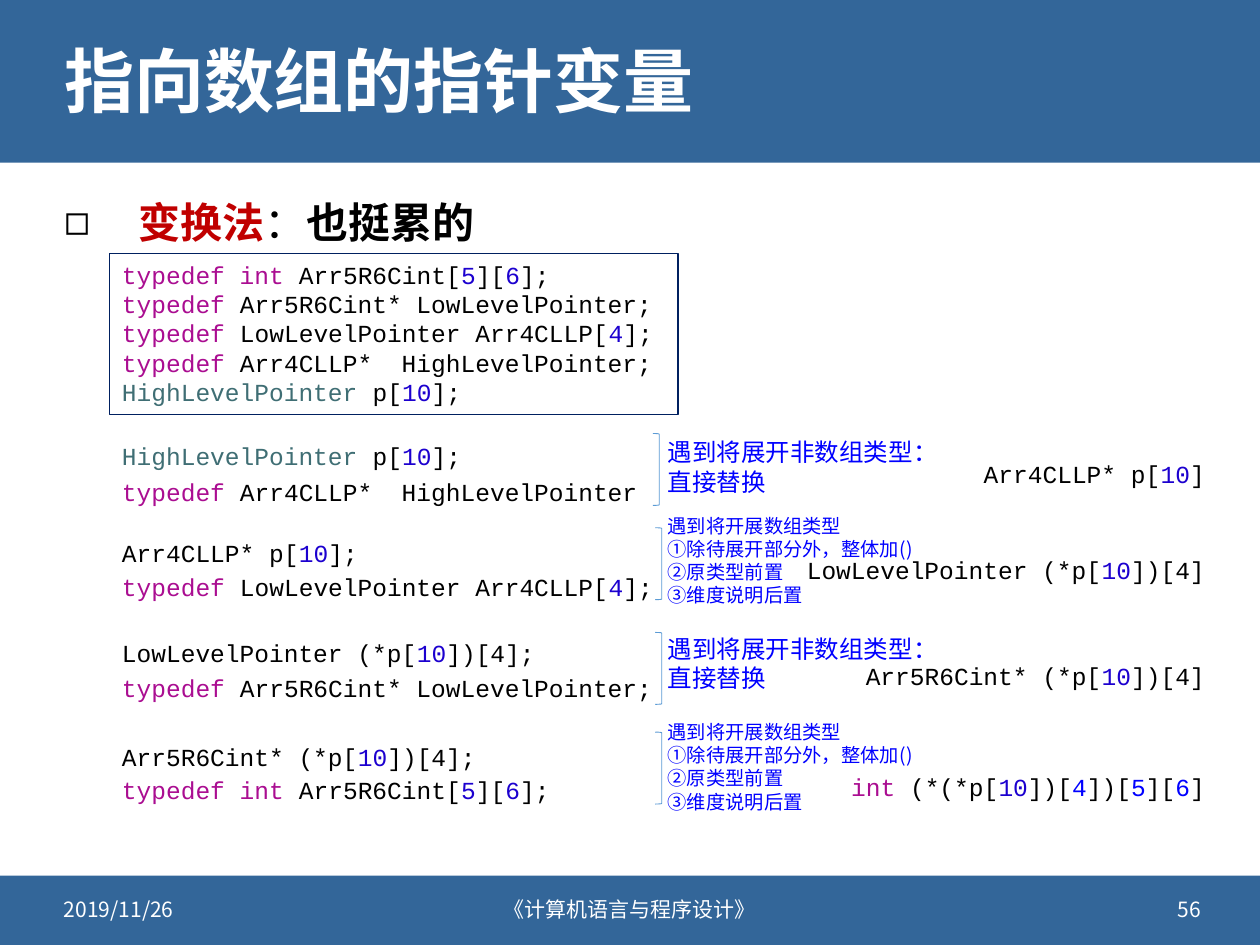
from dataclasses import dataclass

from lxml import etree
from pptx import Presentation
from pptx.dml.color import RGBColor
from pptx.enum import shapes, text
from pptx.oxml import ns
from pptx.util import Cm, Pt


@dataclass(frozen=True)
class Theme:
    band: str = "336699"
    white: str = "FFFFFF"
    black: str = "000000"
    accent: str = "C00000"
    frame: str = "002060"
    bracket: str = "5B9BD5"
    note: str = "0000FF"
    keyword: str = "AA0D91"
    number: str = "1C00CF"
    type_name: str = "3F6E74"
    prose_font: str = "Noto Sans CJK SC"
    code_font: str = "Courier New"
    title_size: int = 40
    body_size: int = 24
    code_size: int = 14
    note_size: int = 14
    small_note_size: int = 11
    footer_size: int = 12


THEME = Theme()
Code = list[tuple[str, str]]  # pieces of one code line with their colours


@dataclass(frozen=True)
class Box:
    left: float
    top: float
    width: float
    height: float

    def lengths(self) -> tuple:
        return Cm(self.left), Cm(self.top), Cm(self.width), Cm(self.height)


@dataclass(frozen=True)
class Note:
    lines: tuple[str, ...]
    size: int
    width: float
    height: float


@dataclass(frozen=True)
class Step:
    declaration: Code
    declaration_top: float
    definition: Code
    definition_top: float
    result: Code
    result_top: float
    note: Note
    note_top: float
    bracket_left: float
    bracket_top: float


def style(run, size: int, colour: str, font: str = THEME.prose_font, bold: bool = False) -> None:
    run.font.size = Pt(size)
    run.font.bold = bold
    run.font.color.rgb = RGBColor.from_string(colour)
    run.font.name = font
    east_asian = etree.Element(ns.qn("a:ea"), typeface=font)
    run.font._element.find(ns.qn("a:latin")).addnext(east_asian)


def add_pieces(paragraph, pieces: Code, size: int, font: str) -> None:
    for words, colour in pieces:
        run = paragraph.add_run()
        run.text = words
        style(run, size, colour, font)


def add_text(slide, box: Box, lines: list[Code], size: int, font: str = THEME.prose_font,
             align=text.PP_ALIGN.LEFT, anchor=text.MSO_ANCHOR.TOP, wrap: bool = True):
    area = slide.shapes.add_textbox(*box.lengths())
    frame = area.text_frame
    frame.word_wrap = wrap
    frame.vertical_anchor = anchor
    for index, pieces in enumerate(lines):
        paragraph = frame.add_paragraph() if index else frame.paragraphs[0]
        paragraph.alignment = align
        add_pieces(paragraph, pieces, size, font)
    return area


def add_code_line(slide, code: Code, top: float, right: float | None = None) -> None:
    width = round(CHAR_WIDTH * sum(len(words) for words, _ in code) + 0.51, 2)
    left = CODE_LEFT if right is None else right - width
    align = text.PP_ALIGN.LEFT if right is None else text.PP_ALIGN.RIGHT
    add_text(slide, Box(left, top, width, 0.86), [code], THEME.code_size,
             THEME.code_font, align, wrap=False)


def add_band(slide, box: Box) -> None:
    band = slide.shapes.add_shape(shapes.MSO_SHAPE.RECTANGLE, *box.lengths())
    band.shadow.inherit = False
    band.fill.solid()
    band.fill.fore_color.rgb = RGBColor.from_string(THEME.band)
    band.line.fill.background()
    band.element.getparent().insert(2, band.element)  # behind the placeholders


def add_step(slide, step: Step) -> None:
    add_code_line(slide, step.declaration, step.declaration_top)
    add_code_line(slide, step.definition, step.definition_top)
    add_code_line(slide, step.result, step.result_top, RESULT_RIGHT)
    bracket = slide.shapes.add_shape(
        shapes.MSO_SHAPE.RIGHT_BRACKET, *Box(step.bracket_left, step.bracket_top, 0.13, 1.45).lengths())
    bracket.shadow.inherit = False
    bracket.fill.background()
    bracket.line.color.rgb = RGBColor.from_string(THEME.bracket)
    bracket.line.width = Pt(0.5)
    note = step.note
    add_text(slide, Box(NOTE_LEFT, step.note_top, note.width, note.height),
             [[(line, THEME.note)] for line in note.lines], note.size)


# Columns
CODE_LEFT, NOTE_LEFT, RESULT_RIGHT = 2.21, 13.21, 24.54
CHAR_WIDTH = 0.3

# Code shared by the listing and the steps
K, B, N, T, D = THEME.keyword, THEME.black, THEME.number, THEME.type_name, THEME.note
END = [(";", B)]
ARR5 = [("typedef int", K), (" Arr5R6Cint[", B), ("5", N), ("][", B), ("6", N), ("];", B)]
LOW = [("typedef", K), (" Arr5R6Cint* LowLevelPointer;", B)]
ARR4 = [("typedef ", K), ("LowLevelPointer Arr4CLLP[", B), ("4", N), ("];", B)]
HIGH = [("typedef", K), (" Arr4CLLP*  HighLevelPointer", B)]
START = [("HighLevelPointer", T), (" p[", B), ("10", N), ("];", B)]
AFTER_HIGH = [("Arr4CLLP* p[", B), ("10", N), ("]", B)]
AFTER_ARR4 = [("LowLevelPointer (*p[", B), ("10", N), ("])[4]", B)]
AFTER_LOW = [("Arr5R6Cint* (*p[", B), ("10", N), ("])[4]", B)]
AFTER_ARR5 = [("int ", K), ("(*(*p[", B), ("10", N), ("])[", B), ("4", D), ("])[", B),
              ("5", D), ("][", B), ("6", D), ("]", B)]

REPLACE = Note(("遇到将展开非数组类型：", "直接替换"), THEME.note_size, 5.99, 1.45)
EXPAND = Note(("遇到将开展数组类型", "①除待展开部分外，整体加()", "②原类型前置", "③维度说明后置"),
              THEME.small_note_size, 5.46, 2.13)

STEPS = [
    Step(START, 8.76, HIGH, 9.5, AFTER_HIGH, 9.12, REPLACE, 8.69, 13.16, 8.74),
    Step(AFTER_HIGH + END, 10.72, ARR4, 11.4, AFTER_ARR4, 11.07, EXPAND, 10.24, 13.21, 10.64),
    Step(AFTER_ARR4 + END, 12.73, LOW, 13.44, AFTER_LOW, 13.21, REPLACE, 12.65, 13.21, 12.75),
    Step(AFTER_LOW + END, 14.83, ARR5, 15.49, AFTER_ARR5, 15.44, EXPAND, 14.4, 13.21, 14.76),
]
FOOTER = [
    ("2019/11/26", 1.04, 6.1, text.PP_ALIGN.LEFT),
    ("《计算机语言与程序设计》", 8.13, 9.14, text.PP_ALIGN.CENTER),
    ("56", 18.36, 6.1, text.PP_ALIGN.RIGHT),
]


def place(placeholder, box: Box, anchor):
    placeholder.left, placeholder.top, placeholder.width, placeholder.height = box.lengths()
    frame = placeholder.text_frame
    frame.auto_size = text.MSO_AUTO_SIZE.NONE
    frame.vertical_anchor = anchor
    paragraph = frame.paragraphs[0]
    paragraph.alignment = text.PP_ALIGN.LEFT
    paragraph.space_before = Pt(0)
    return paragraph


def main() -> None:
    deck = Presentation()
    deck.slide_width, deck.slide_height = Cm(25.4), Cm(19.05)
    slide = deck.slides.add_slide(deck.slide_layouts[1])

    # Title and footer bands
    add_band(slide, Box(0, 0, 25.4, 3.28))
    add_band(slide, Box(0, 17.65, 25.4, 1.4))

    # Title
    heading = place(slide.shapes.title, Box(1.04, 0.46, 23.34, 2.51), text.MSO_ANCHOR.MIDDLE)
    heading.text = "指向数组的指针变量"
    heading.line_spacing = 0.9
    style(heading.runs[0], THEME.title_size, THEME.white, bold=True)

    # Bulleted method line
    method = place(slide.placeholders[1], Box(1.04, 3.73, 23.34, 1.37), text.MSO_ANCHOR.TOP)
    method.line_spacing = 1.1
    properties = method._p.get_or_add_pPr()
    properties.set("marL", str(Cm(1.5)))
    properties.set("indent", str(-Cm(1.5)))
    bullet_colour = etree.SubElement(properties, ns.qn("a:buClr"))
    etree.SubElement(bullet_colour, ns.qn("a:srgbClr"), val=THEME.black)
    etree.SubElement(properties, ns.qn("a:buChar"), char="◻")
    add_pieces(method, [("变换法", THEME.accent), ("：", B), ("也挺累的", B)],
               THEME.body_size, THEME.prose_font)
    for run in (method.runs[0], method.runs[2]):
        run.font.bold = True

    # Framed listing
    listing = add_text(slide, Box(CODE_LEFT, 5.11, 11.46, 3.25),
                       [ARR5, LOW, ARR4, HIGH + END, START], THEME.code_size, THEME.code_font)
    listing.line.color.rgb = RGBColor.from_string(THEME.frame)
    listing.line.width = Pt(0.75)

    # Expansion steps
    for step in STEPS:
        add_step(slide, step)

    # Footer
    for words, left, width, align in FOOTER:
        add_text(slide, Box(left, 17.81, width, 1.02), [[(words, THEME.white)]],
                 THEME.footer_size, align=align, anchor=text.MSO_ANCHOR.MIDDLE)

    deck.save("out.pptx")


if __name__ == "__main__":
    main()
